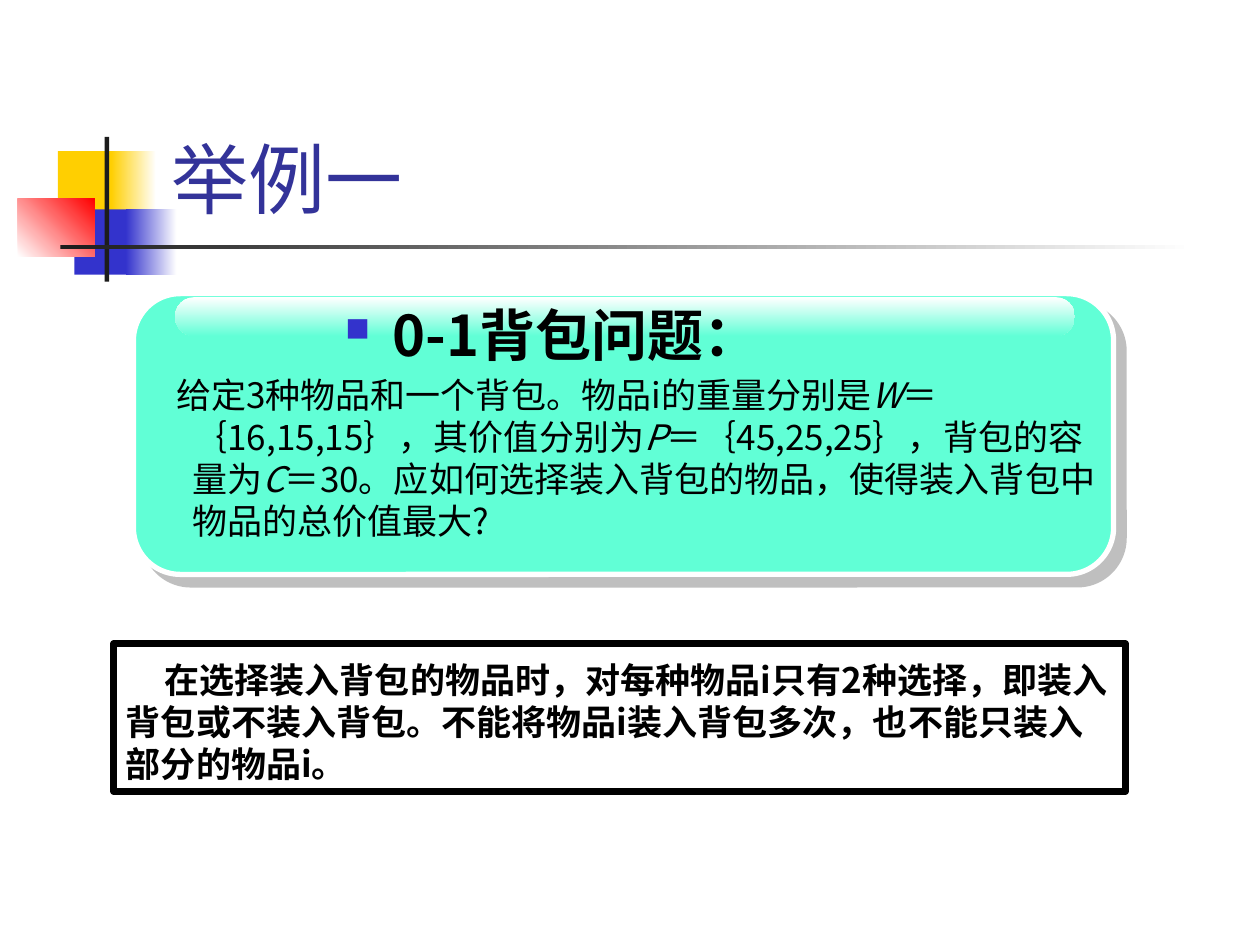
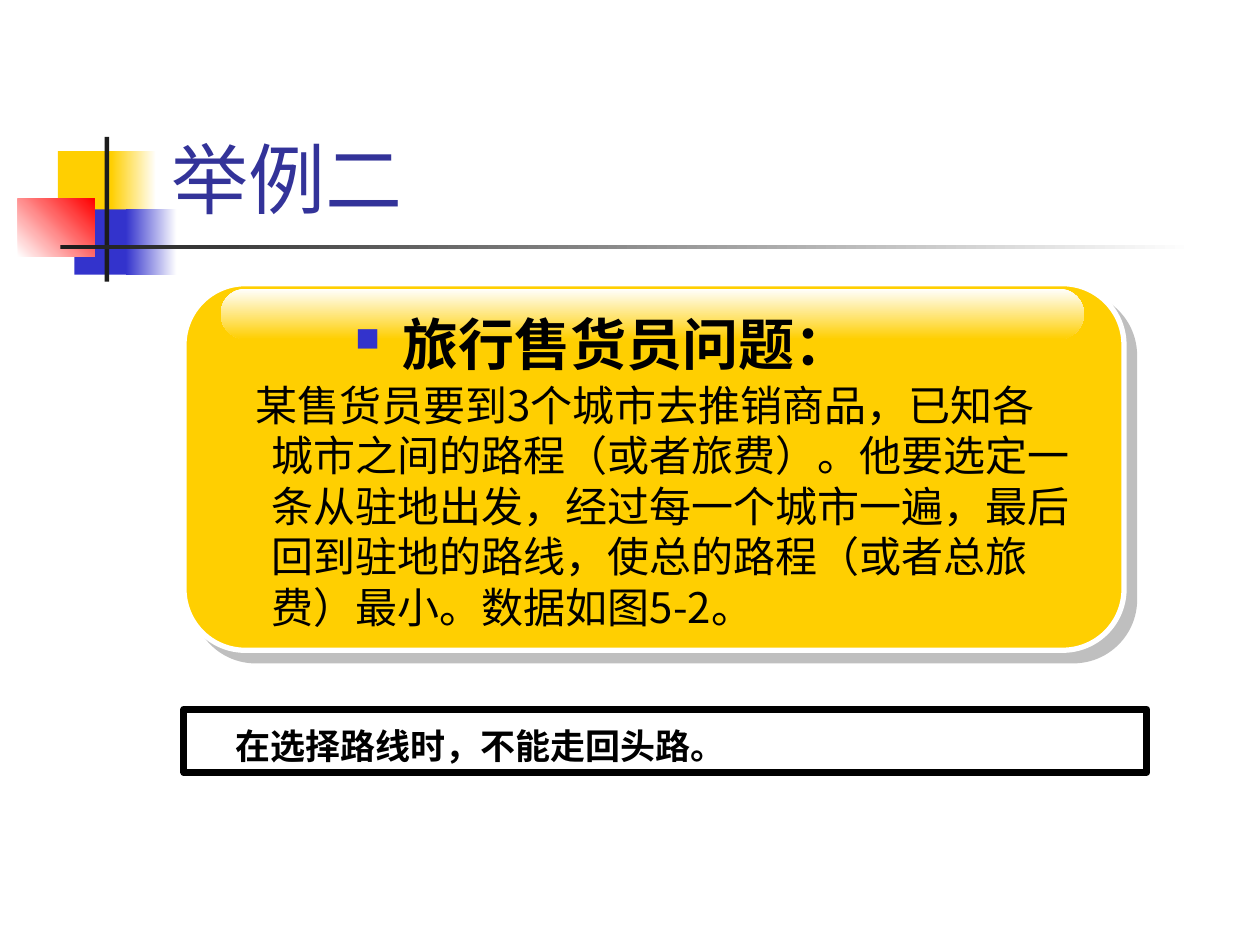
from dataclasses import dataclass

from lxml.etree import SubElement
from pptx import Presentation
from pptx.dml.color import RGBColor
from pptx.enum.shapes import MSO_SHAPE as Shape
from pptx.enum.text import MSO_ANCHOR as Anchor
from pptx.oxml.ns import qn
from pptx.util import Cm, Pt


@dataclass(frozen=True)
class Theme:
    font: str = "Noto Sans CJK SC"
    black: str = "000000"
    white: str = "FFFFFF"
    ink: str = "1C1C1C"
    yellow: str = "FFCF01"
    blue: str = "3333CC"
    red: str = "FF0000"
    mint: str = "61FFD6"
    title: str = "333399"
    shadow: str = "808080"
    title_size: int = 44
    heading_size: int = 32
    text_size: int = 24
    small_size: int = 20


THEME = Theme()


# Shapes
def add_block(shapes, area, fill=None, fade=None, angle=0, line=None,
              line_width=0, kind=Shape.RECTANGLE, corner=None):
    """Add a shape; fade is the end colour of a gradient, angle is clockwise."""
    box = shapes.add_shape(kind, *map(Cm, area))
    box.shadow.inherit = False
    if corner is not None:
        box.adjustments[0] = corner
    if fade:
        box.fill.gradient()
        box.fill.gradient_angle = (360 - angle) % 360
        for stop, colour in zip(box.fill.gradient_stops, (fill, fade)):
            stop.color.rgb = RGBColor.from_string(colour)
    elif fill:
        box.fill.solid()
        box.fill.fore_color.rgb = RGBColor.from_string(fill)
    else:
        box.fill.background()
    if line:
        box.line.color.rgb = RGBColor.from_string(line)
        box.line.width = Pt(line_width)
    else:
        box.line.fill.background()
    return box


def add_drop_shadow(box):
    effects = box._element.spPr.find(qn("a:effectLst"))
    shadow = SubElement(effects, qn("a:outerShdw"), blurRad="0",
                        dist=str(Pt(8.5)), dir=str(45 * 60000),
                        algn="ctr", rotWithShape="0")
    colour = SubElement(shadow, qn("a:srgbClr"), val=THEME.shadow)
    SubElement(colour, qn("a:alpha"), val="50000")


# Text
def add_bullet(para):
    props = para._p.get_or_add_pPr()
    colour = SubElement(props, qn("a:buClr"))
    SubElement(colour, qn("a:srgbClr"), val=THEME.blue)
    SubElement(props, qn("a:buSzPct"), val="60000")
    SubElement(props, qn("a:buChar"), char="■")


def write_text(box, text, size, colour=THEME.black, bold=False, margin=0,
               indent=0, bullet=False, anchor=Anchor.TOP, inset_top=0.13):
    """Write one paragraph; pieces between asterisks are italic."""
    frame = box.text_frame
    frame.word_wrap = True
    frame.vertical_anchor = anchor
    frame.margin_left = frame.margin_right = Cm(0.25)
    frame.margin_top, frame.margin_bottom = Cm(inset_top), Cm(0.13)
    para = frame.paragraphs[0]
    props = para._p.get_or_add_pPr()
    props.set("algn", "l")
    props.set("marL", str(Cm(margin)))
    props.set("indent", str(Cm(indent)))
    if bullet:
        add_bullet(para)
    for index, piece in enumerate(text.split("*")):
        span = para.add_run()
        span.text = piece
        font = span.font
        font.size, font.bold, font.italic = Pt(size), bold, index % 2 == 1
        font.color.rgb = RGBColor.from_string(colour)
        font.name = THEME.font
        SubElement(span._r.get_or_add_rPr(), qn("a:ea"), typeface=THEME.font)


def add_text(shapes, area, text, size, **style):
    write_text(shapes.add_textbox(*map(Cm, area)), text, size, **style)


# Parts of a page
def add_ornament(page):
    for area, fill, fade, angle in (
        ((1.17, 3.05, 1.22, 1.32), THEME.yellow, None, 0),
        ((2.24, 3.05, 0.91, 1.32), THEME.yellow, THEME.white, 0),
        ((1.5, 4.22, 1.17, 1.32), THEME.blue, None, 0),
        ((2.54, 4.22, 1.02, 1.32), THEME.blue, THEME.white, 0),
        ((0.36, 4.01, 1.55, 1.17), THEME.white, THEME.red, 315),
        ((2.11, 2.76, 0.09, 2.92), THEME.ink, None, 0),
        ((1.22, 4.94, 22.86, 0.09), THEME.ink, THEME.white, 0),
    ):
        add_block(page.shapes, area, fill, fade, angle)


def add_note(page, area, text):
    box = add_block(page.shapes, area, line=THEME.black, line_width=4)
    write_text(box, text, THEME.small_size, bold=True, indent=0.78,
               anchor=Anchor.MIDDLE, inset_top=0.3)


def add_card(page, area, gloss_area, text_area, colour, text, size):
    shapes = page.shapes.add_group_shape().shapes
    card = add_block(shapes, area, colour, line=THEME.white, line_width=3,
                     kind=Shape.ROUNDED_RECTANGLE, corner=0.167)
    add_drop_shadow(card)
    add_block(shapes, gloss_area, THEME.white, fade=colour, angle=90,
              kind=Shape.ROUNDED_RECTANGLE, corner=0.5)
    add_text(shapes, text_area, text, size, margin=0.33, indent=-0.33)


def add_page(deck, title, heading, heading_at, note, note_area, **card):
    page = deck.slides.add_slide(deck.slide_layouts[6])
    add_ornament(page)
    add_text(page.shapes, (3.2, 0.58, 21.64, 4.06), title, THEME.title_size,
             colour=THEME.title, anchor=Anchor.BOTTOM)
    add_note(page, note_area, note)
    add_card(page, **card)
    add_text(page.shapes, (*heading_at, 18.4, 11.43), heading,
             THEME.heading_size, bold=True, margin=0.95, indent=-0.95,
             bullet=True)


def main():
    deck = Presentation()
    deck.slide_width, deck.slide_height = Cm(25.4), Cm(19.05)

    # Knapsack problem
    add_page(
        deck, "举例一", "0-1背包问题：", (6.71, 5.92),
        note="在选择装入背包的物品时，对每种物品i只有2种选择，即装入背包或"
             "不装入背包。不能将物品i装入背包多次，也不能只装入部分的物品i。",
        note_area=(2.29, 12.98, 20.4, 2.97),
        area=(2.69, 5.92, 19.76, 5.66),
        gloss_area=(3.53, 5.99, 18.14, 0.79),
        text_area=(3.3, 7.39, 19.35, 6.53),
        colour=THEME.mint, size=THEME.small_size,
        text="给定3种物品和一个背包。物品i的重量分别是*W*＝｛16,15,15｝，"
             "其价值分别为*P*＝｛45,25,25｝，背包的容量为*C*＝30。"
             "应如何选择装入背包的物品，使得装入背包中物品的总价值最大?",
    )

    # Travelling salesman problem
    add_page(
        deck, "举例二", "旅行售货员问题：", (6.91, 6.12),
        note="在选择路线时，不能走回头路。",
        note_area=(3.71, 14.3, 19.41, 1.27),
        area=(3.71, 5.72, 18.95, 7.39),
        gloss_area=(4.45, 5.82, 17.4, 1.02),
        text_area=(4.9, 7.52, 16.99, 6.58),
        colour=THEME.yellow, size=THEME.text_size,
        text="某售货员要到3个城市去推销商品，已知各城市之间的路程（或者旅费）。"
             "他要选定一条从驻地出发，经过每一个城市一遍，最后回到驻地的路线，"
             "使总的路程（或者总旅费）最小。数据如图5-2。",
    )

    deck.save("out.pptx")


if __name__ == "__main__":
    main()
